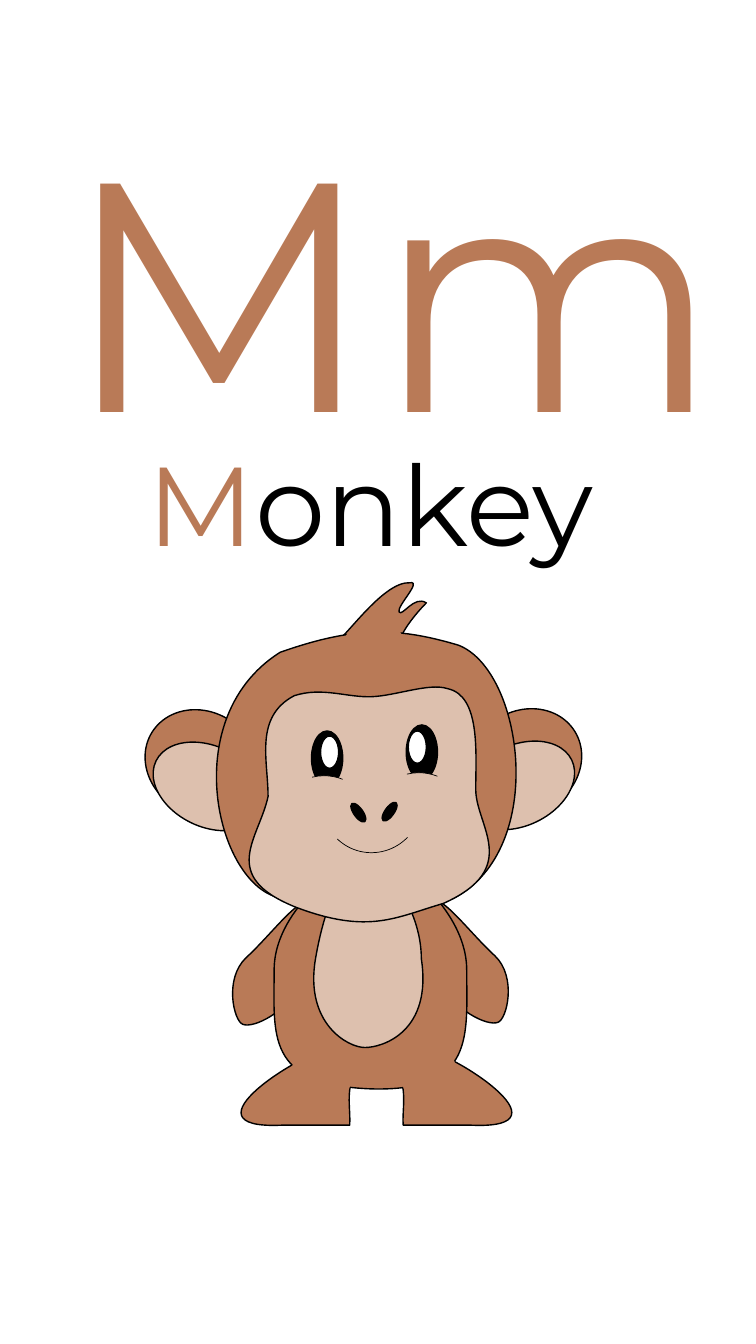
import math

from lxml import etree
from pptx import Presentation
from pptx import util as u
from pptx.dml.color import RGBColor
from pptx.enum import shapes, text
from pptx.oxml.ns import qn

THEME = {
    "fur": "B97A57", "skin": "DDC0AE", "ink": "000000", "eye": "FFFFFF",
    "font": "Montserrat", "letter_size": 233, "word_size": 80,
    "outline": 1, "thin": 0.5, "none": 0,
}
GRID = 0.72
CURVE_STEPS = 16

LETTERS = [("Mm", "fur")]
WORD = [("M", "fur"), ("onkey", "ink")]
LETTERS_BOX = (53, 81, 793, 402)
WORD_BOX = (137, 426, 497, 145)

ARM = [(491, 948), (469, 928, 441, 891, 432, 894), (422, 898, 416, 936, 433, 969),
       (450, 1003, 484, 1018, 494, 1014), (503, 1011, 513, 969, 491, 948)]
FOOT = [(424, 1043), (392, 1055), (405, 1082, 399, 1096, 400, 1116), (467, 1116),
        (573, 1121, 441, 1040, 424, 1043)]
BODY = [(272, 962), (272, 897, 353, 846, 368, 844), (382, 842, 463, 897, 463, 962),
        (463, 1027, 472, 1083, 368, 1080), (263, 1076, 272, 1027, 272, 962)]
BELLY = [(313, 951), (324, 887, 345, 853, 362, 853), (380, 853, 418, 900, 418, 951),
         (429, 1023, 380, 1039, 362, 1039), (345, 1039, 302, 1015, 313, 951)]
HAIR = [(330, 639), (339, 639, 379, 576, 407, 578), (419, 576, 393, 602, 396, 607),
        (399, 612, 411, 590, 423, 598), (416, 605, 398, 625, 395, 640),
        (410, 687), (330, 687), (330, 639)]
HEAD = [(278, 647), (349, 622, 392, 621, 455, 640), (519, 665, 544, 842, 450, 891),
        (397, 906, 370, 921, 290, 891), (221, 900, 168, 716, 278, 647)]
FACE = [(292, 690), (320, 681, 344, 692, 369, 691), (393, 690, 426, 677, 444, 683),
        (477, 690, 472, 747, 472, 783), (472, 819, 518, 861, 440, 896),
        (392, 910, 366, 927, 294, 900), (216, 869, 257, 832, 266, 790),
        (266, 754, 252, 711, 292, 690)]
HAIR_ROOT = [(339, 639), (346, 621, 358, 613, 381, 618), (404, 622, 405, 644, 398, 661),
             (391, 679, 372, 689, 356, 682), (339, 676, 332, 656, 339, 639)]
LEFT_HIP = [(291, 1054), (298, 1036, 310, 1029, 332, 1033), (354, 1037, 354, 1059, 348, 1076),
            (341, 1094, 322, 1104, 307, 1098), (291, 1092, 284, 1072, 291, 1054)]
RIGHT_HIP = [(451, 1053), (444, 1036, 432, 1027, 412, 1031), (391, 1035, 391, 1056, 398, 1074),
             (405, 1092, 422, 1102, 437, 1096), (451, 1090, 458, 1071, 451, 1053)]
LID_ARC = (189.758, 211.298)
SMILE_ARC = (162, 0)


def mirrored(outline, axis_sum, drop=0):
    return [tuple(value + drop if index % 2 else axis_sum - value
                  for index, value in enumerate(segment)) for segment in outline]


BACK_OUTLINES = [
    (ARM, "fur", "outline", -27.2), (FOOT, "fur", "outline", 0),
    (mirrored(FOOT, 747), "fur", "outline", 0), (mirrored(ARM, 735, 2), "fur", "outline", 27.2),
    (BODY, "fur", "outline", 0), (BELLY, "skin", "outline", 0), (HAIR, "fur", "outline", 0),
]
EARS = [
    ((142, 706, 116, 102), "fur", 32.2), ((149, 740, 116, 80), "skin", 25.7),
    ((463, 705, 116, 102), "fur", -32.2), ((457, 739, 116, 80), "skin", -25.7),
]
HEAD_OUTLINES = [(HEAD, "fur", "outline", 0), (FACE, "skin", "outline", 0)]
FEATURES = [
    ((403, 719, 31, 54), "ink", 0), ((309, 725, 31, 54), "ink", 0),
    ((318, 730, 18, 32), "eye", 0), ((405, 725, 18, 32), "eye", 0),
    ((351, 795, 9, 22), "ink", -35.9), ((382, 794, 9, 22), "ink", 35.9),
]
PATCHES = [(HAIR_ROOT, "fur", "none", 21.3), (LEFT_HIP, "fur", "none", 21.3),
           (RIGHT_HIP, "fur", "none", -21.3)]
ARCS = [
    ((367, 766, 98, 99), "skin", -60.7, LID_ARC, False),
    ((320, 747, 98, 99), None, 43.9, SMILE_ARC, True),
    ((273, 769, 98, 99), "skin", -60.7, LID_ARC, False),
]


def color(name):
    return RGBColor.from_string(THEME[name])


def lengths(box):
    return [u.Pt(value * GRID) for value in box]


def style(shape, fill, line, rotation):
    shape.shadow.inherit = False
    shape.rotation = rotation
    if fill:
        shape.fill.solid()
        shape.fill.fore_color.rgb = color(fill)
    else:
        shape.fill.background()
    if THEME[line]:
        shape.line.color.rgb = color("ink")
        shape.line.width = u.Pt(THEME[line])
    else:
        shape.line.fill.background()


def pairs(segment):
    return list(zip(segment[::2], segment[1::2]))


def bezier(points, t):
    weights = ((1 - t) ** 3, 3 * t * (1 - t) ** 2, 3 * t ** 2 * (1 - t), t ** 3)
    return tuple(sum(weight * point[axis] for weight, point in zip(weights, points))
                 for axis in (0, 1))


def trace(outline):
    points = [outline[0]]
    for segment in outline[1:]:
        if len(segment) == 2:
            points.append(segment)
        else:
            controls = [points[-1], *pairs(segment)]
            points += [bezier(controls, step / CURVE_STEPS)
                       for step in range(1, CURVE_STEPS + 1)]
    return points


def turn(point, degrees):
    cosine, sine = math.cos(math.radians(degrees)), math.sin(math.radians(degrees))
    return (point[0] * cosine - point[1] * sine, point[0] * sine + point[1] * cosine)


def upright(outline, rotation):
    turned = [tuple(value for point in pairs(segment) for value in turn(point, -rotation))
              for segment in outline]
    center = [(min(values) + max(values)) / 2 for values in zip(*trace(turned))]
    shift = [after - before for after, before in zip(turn(center, rotation), center)]
    return [tuple(value + shift[index % 2] for index, value in enumerate(segment))
            for segment in turned]


def draw_curves(shape, outline):
    drawn = next(shape.element.iter(qn("a:path")))
    for child in list(drawn):
        drawn.remove(child)
    for index, segment in enumerate(outline):
        curve = "cubicBezTo" if len(segment) == 6 else "lnTo"
        step = etree.SubElement(drawn, qn("a:" + (curve if index else "moveTo")))
        for point in pairs(segment):
            x, y = lengths(point)
            etree.SubElement(step, qn("a:pt"), x=str(x - shape.left), y=str(y - shape.top))
    etree.SubElement(drawn, qn("a:close"))


def add_outlines(figure, outlines):
    for outline, fill, line, rotation in outlines:
        outline = upright(outline, rotation)
        points = [lengths(point) for point in trace(outline)]
        builder = figure.shapes.build_freeform(*points[0])
        builder.add_line_segments(points[1:], close=True)
        shape = builder.convert_to_shape()
        draw_curves(shape, outline)
        style(shape, fill, line, rotation)


def add_ovals(figure, ovals):
    for box, fill, rotation in ovals:
        oval = figure.shapes.add_shape(shapes.MSO_SHAPE.OVAL, *lengths(box))
        style(oval, fill, "outline", rotation)


def add_arcs(figure, arcs):
    for box, fill, rotation, angles, flipped in arcs:
        arc = figure.shapes.add_shape(shapes.MSO_SHAPE.ARC, *lengths(box))
        style(arc, fill, "thin", rotation)
        for index, angle in enumerate(angles):
            arc.adjustments[index] = angle
        if flipped:
            arc.element.spPr.xfrm.set("flipV", "1")


def write(shape, box, runs, size):
    shape.left, shape.top, shape.width, shape.height = lengths(box)
    frame = shape.text_frame
    frame_format = {"word_wrap": True, "auto_size": text.MSO_AUTO_SIZE.NONE,
                    "vertical_anchor": text.MSO_ANCHOR.TOP}
    for name, value in frame_format.items():
        setattr(frame, name, value)
    paragraph = frame.paragraphs[0]
    paragraph.alignment = text.PP_ALIGN.LEFT
    for words, fill in runs:
        run = paragraph.add_run()
        run.text = words
        for name, value in {"name": THEME["font"], "size": u.Pt(THEME[size])}.items():
            setattr(run.font, name, value)
        run.font.color.rgb = color(fill)


def main():
    presentation = Presentation()
    presentation.slide_width, presentation.slide_height = u.Pt(540), u.Pt(959.76)
    slide = presentation.slides.add_slide(presentation.slide_layouts[5])
    write(slide.shapes.title, LETTERS_BOX, LETTERS, "letter_size")
    monkey = slide.shapes.add_group_shape()
    add_outlines(monkey, BACK_OUTLINES)
    add_ovals(monkey, EARS)
    add_outlines(monkey, HEAD_OUTLINES)
    add_ovals(monkey, FEATURES)
    add_outlines(monkey, PATCHES)
    add_arcs(monkey, ARCS)
    write(slide.shapes.add_textbox(*lengths(WORD_BOX)), WORD_BOX, WORD, "word_size")
    presentation.save("out.pptx")


if __name__ == "__main__":
    main()
